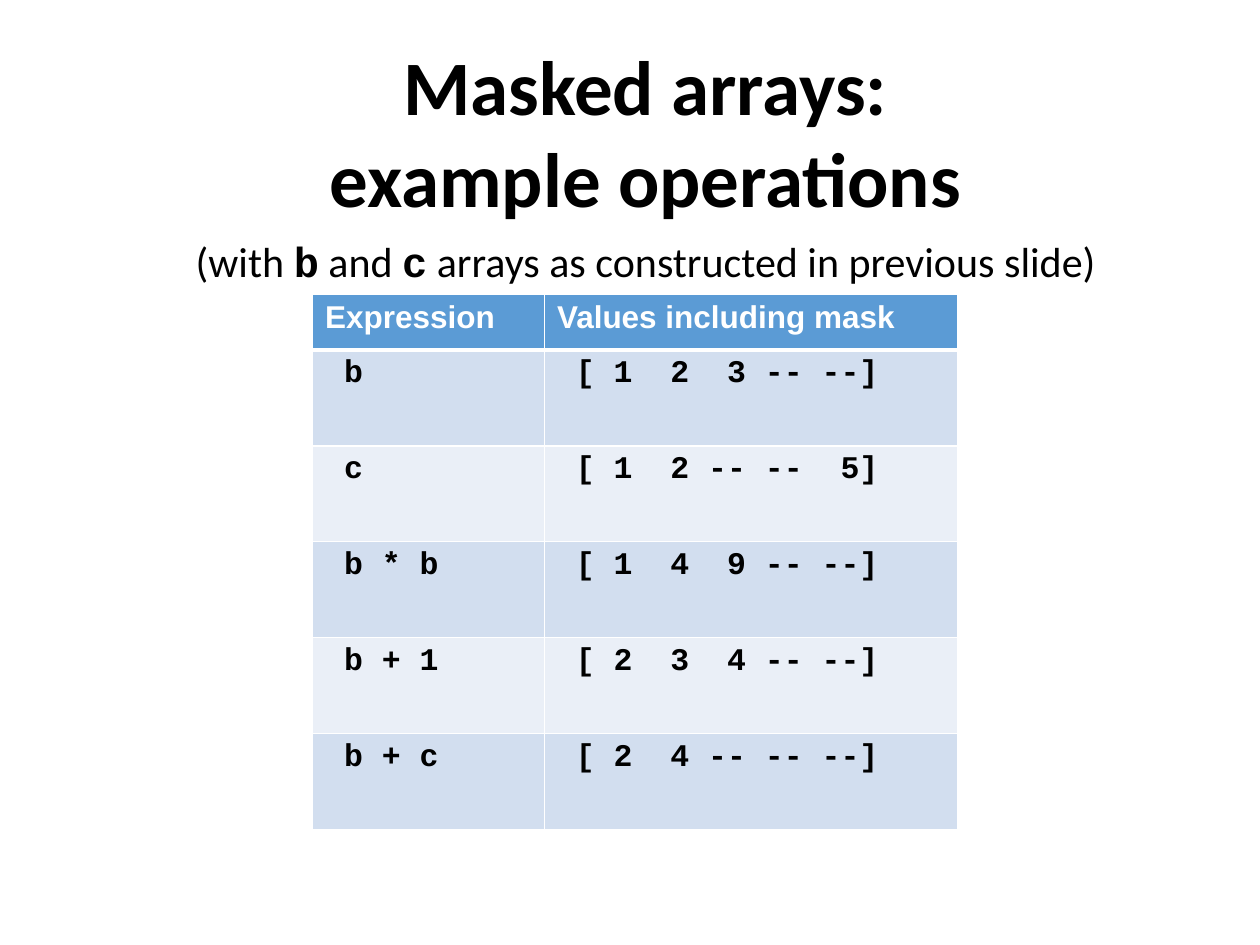
from lxml import etree
from pptx import Presentation
from pptx import util as u
from pptx.dml.color import RGBColor
from pptx.enum import text
from pptx.oxml.ns import qn

COLOURS = {
    "ink": "000000",
    "white": "FFFFFF",
    "header": "5B9BD5",
    "odd": "D2DEEF",
    "even": "EAEFF7",
}
ROWS = [
    (" b", " [ 1  2  3 -- --]"),
    (" c", " [ 1  2 -- --  5]"),
    (" b * b", " [ 1  4  9 -- --]"),
    (" b + 1", " [ 2  3  4 -- --]"),
    (" b + c", " [ 2  4 -- -- --]"),
]


class SlideBuilder:
    heading_font = "Calibri"
    header_font = "Arial"
    code_font = "Courier New"

    def __init__(self, page):
        self.page = page

    def style(self, font, name, size, colour="ink", bold=False):
        font.name = name
        font.size = u.Pt(size)
        font.bold = bold
        font.color.rgb = RGBColor.from_string(COLOURS[colour])

    def text_box(self, left, top, width, height):
        box = self.page.shapes.add_textbox(*map(u.Pt, (left, top, width, height)))
        frame = box.text_frame
        frame.word_wrap = True
        paragraph = frame.paragraphs[0]
        paragraph.alignment = text.PP_ALIGN.CENTER
        return frame, paragraph

    def title(self, wording, *place):
        frame, paragraph = self.text_box(*place)
        frame.vertical_anchor = text.MSO_ANCHOR.MIDDLE
        paragraph.text = wording
        self.style(paragraph.font, self.heading_font, 44, bold=True)

    def subtitle(self, spans, *place):
        frame, paragraph = self.text_box(*place)
        frame.margin_left = frame.margin_right = 0
        frame.margin_top = frame.margin_bottom = 0
        paragraph.line_spacing = 1.03
        for wording, is_code in spans:
            span = paragraph.add_run()
            span.text = wording
            name = self.code_font if is_code else self.heading_font
            self.style(span.font, name, 24, bold=is_code)

    def borders(self, cell, top, bottom):
        properties = cell._tc.get_or_add_tcPr()
        for side, width in (("L", 1), ("R", 1), ("T", top), ("B", bottom)):
            line = etree.SubElement(properties, qn(f"a:ln{side}"), w=str(u.Pt(width)))
            fill = etree.SubElement(line, qn("a:solidFill"))
            etree.SubElement(fill, qn("a:srgbClr"), val=COLOURS["white"])

    def cell(self, cell, wording, row):
        self.borders(cell, 3 if row == 1 else 1, 3 if row == 0 else 1)
        fill = "header" if row == 0 else "odd" if row % 2 else "even"
        cell.fill.solid()
        cell.fill.fore_color.rgb = RGBColor.from_string(COLOURS[fill])
        paragraph = cell.text_frame.paragraphs[0]
        paragraph.text = wording
        name, colour = (self.code_font, "ink") if row else (self.header_font, "white")
        self.style(paragraph.font, name, 18, colour, bold=True)

    def table(self, header, rows, left, top, widths, header_height, row_height):
        contents = [header, *rows]
        heights = [header_height] + [row_height] * len(rows)
        place = map(u.Pt, (left, top, sum(widths), sum(heights)))
        table = self.page.shapes.add_table(len(contents), len(header), *place).table
        for column, width in zip(table.columns, widths):
            column.width = u.Pt(width)
        for index, (height, wordings) in enumerate(zip(heights, contents)):
            table.rows[index].height = u.Pt(height)
            for position, wording in enumerate(wordings):
                self.cell(table.cell(index, position), wording, index)


def main():
    deck = Presentation()
    deck.slide_width, deck.slide_height = u.Pt(720), u.Pt(540)
    builder = SlideBuilder(deck.slides.add_slide(deck.slide_layouts[6]))
    builder.title("Masked arrays:\vexample operations", 45, 21.6, 648, 106.5)
    builder.subtitle(
        [
            ("(with ", False),
            ("b", True),
            (" and ", False),
            ("c", True),
            (" arrays as constructed in previous slide)", False),
        ],
        45, 134, 648, 30,
    )
    builder.table(
        ("Expression", "Values including mask"),
        ROWS, 178.6, 168, (132.5, 236), 32, 54.8,
    )
    deck.save("out.pptx")


if __name__ == "__main__":
    main()
